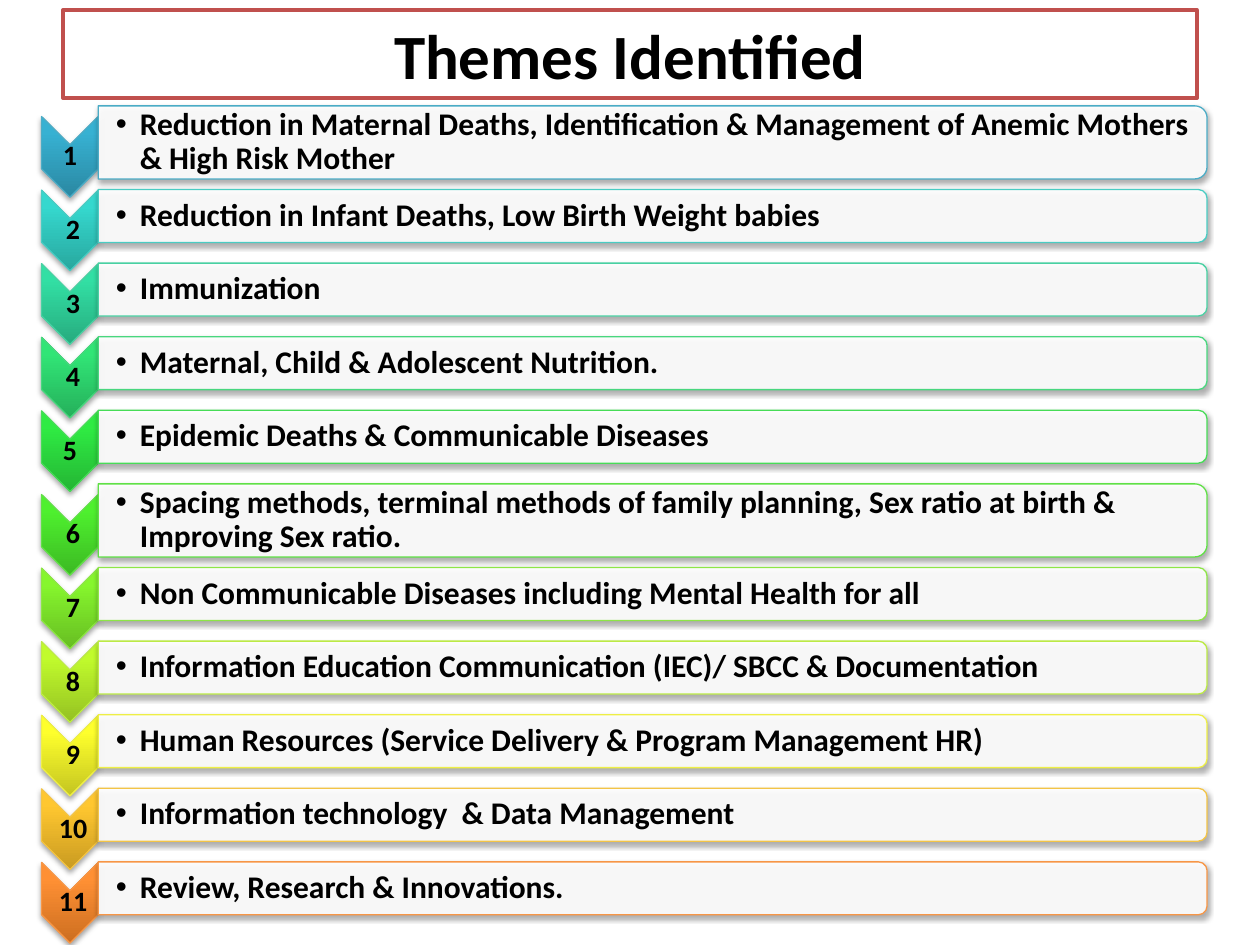
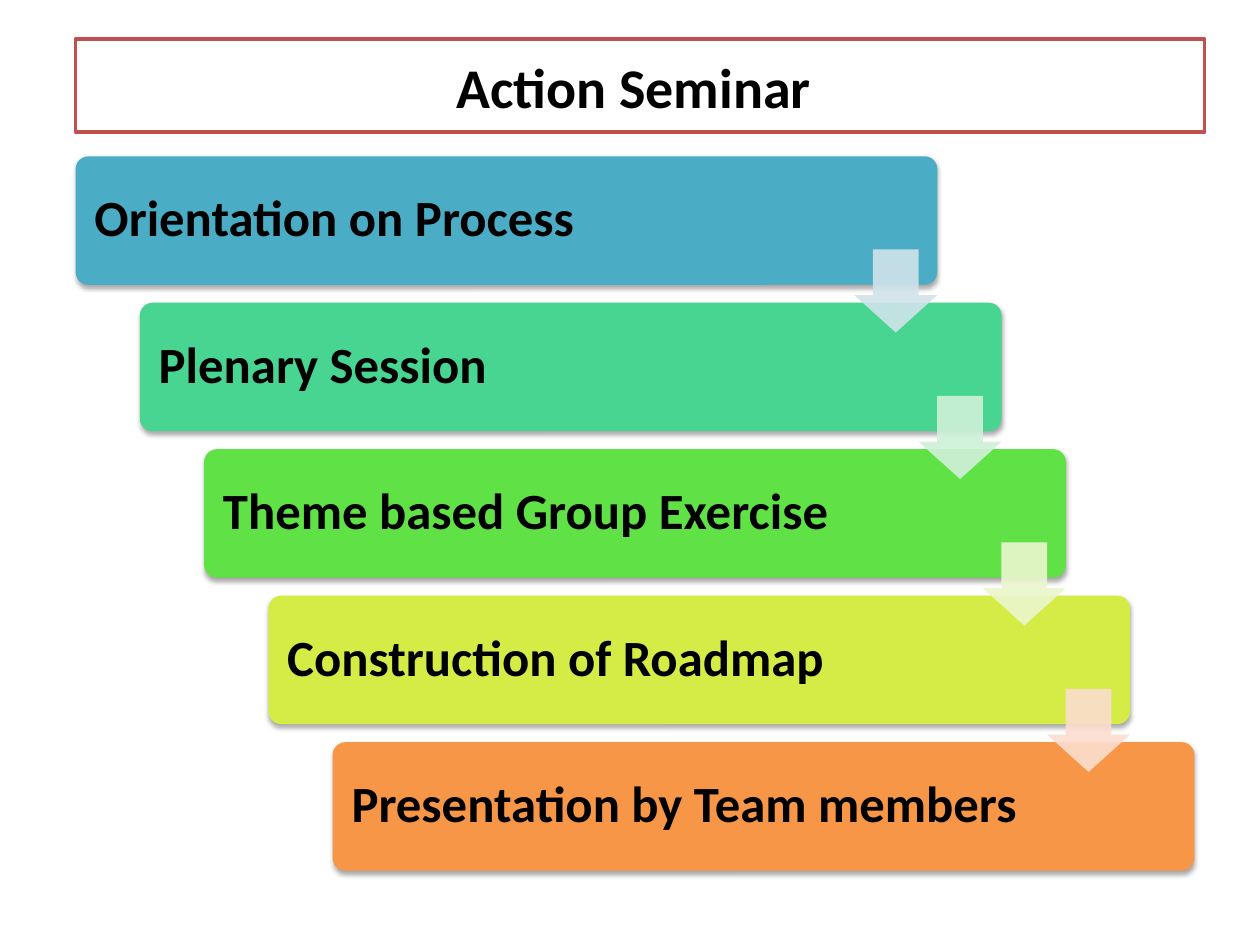
from typing import NamedTuple

from lxml.etree import SubElement
from pptx import Presentation
from pptx.dml.color import RGBColor
from pptx.enum.shapes import MSO_SHAPE
from pptx.enum.text import MSO_ANCHOR, PP_ALIGN
from pptx.oxml.ns import qn
from pptx.util import Inches, Pt

# Grid: 100 columns by 75 rows of square cells
SLIDE_WIDTH, SLIDE_HEIGHT = Inches(10), Inches(7.5)
CELL = SLIDE_WIDTH // 100

FONT = "Calibri"
BLACK = RGBColor(0, 0, 0)
WHITE = RGBColor(255, 255, 255)
TITLE_BORDER = RGBColor(0xC0, 0x50, 0x4D)
TITLE_ONLY = 5

color = RGBColor.from_string

# Label, outline, dark and light chevron colours, theme
THEMES = [
    ("1", color("4BACC6"), color("2A88A2"), color("37B1D2"),
     "Reduction in Maternal Deaths, Identification & Management of Anemic Mothers & High Risk Mother"),
    (" 2", color("4ACCC3"), color("28A79E"), color("35D8CE"),
     "Reduction in Infant Deaths, Low Birth Weight babies"),
    (" 3", color("49D1A3"), color("27AB7E"), color("32DFA4"),
     "Immunization"),
    (" 4", color("48D77E"), color("25B05B"), color("31E576"),
     "Maternal, Child & Adolescent Nutrition."),
    (" 5 ", color("47DC57"), color("24B534"), color("2FEB43"),
     "Epidemic Deaths & Communicable Diseases"),
    (" 6", color("60E146"), color("3CB923"), color("4EF02E"),
     "Spacing methods, terminal methods of family planning, Sex ratio at birth & Improving Sex ratio."),
    (" 7", color("8DE646"), color("67BD22"), color("86F62D"),
     "Non Communicable Diseases including Mental Health for all"),
    (" 8", color("BCEA46"), color("94C122"), color("C1FB2C"),
     "Information Education Communication (IEC)/ SBCC & Documentation"),
    (" 9", color("EEEF46"), color("C4C521"), color("FEFF2C"),
     "Human Resources (Service Delivery & Program Management HR)"),
    (" 10", color("F3C446"), color("C99B21"), color("FFC730"),
     "Information technology  & Data Management"),
    (" 11", color("F79646"), color("CC6E20"), color("FF9034"),
     "Review, Research & Innovations."),
]
TWO_LINE_LENGTH = 70  # longer themes need a taller bar

# Step, bar colour
STEPS = [
    ("Orientation on Process", color("4BACC6")),
    ("Plenary Session", color("48D491")),
    ("Theme based Group Exercise", color("60E146")),
    ("Construction of Roadmap", color("D5EC46")),
    ("Presentation by Team members", color("F79646")),
]
ARROW_COLORS = [color("D0E3EA"), color("CFF1D9"), color("EBF7CE"), color("FCDDCF")]


class Box(NamedTuple):
    """A rectangle in grid cells."""
    left: float
    top: float
    width: float
    height: float

    def turned(self):
        """The frame that covers this box after a quarter turn."""
        shift = (self.width - self.height) / 2
        return Box(self.left + shift, self.top - shift, self.height, self.width)

    def lengths(self):
        return [round(value * CELL) for value in self]


def format_text(frame, text, size):
    frame.text = text
    para = frame.paragraphs[0]
    for span in para.runs:
        span.font.name, span.font.size = FONT, Pt(size)
        span.font.bold = True
        span.font.color.rgb = BLACK
    return para


def add_label(page, box, text, size, inset, left_inset=None):
    frame = page.shapes.add_textbox(*box.lengths()).text_frame
    frame.word_wrap = True
    frame.vertical_anchor = MSO_ANCHOR.MIDDLE
    frame.margin_left = Inches(inset if left_inset is None else left_inset)
    frame.margin_right = frame.margin_top = frame.margin_bottom = Inches(inset)
    para = format_text(frame, text, size)
    para.line_spacing = 0.9
    return para


def add_bullet(para):
    properties = para._p.get_or_add_pPr()
    properties.set("marL", str(Inches(0.19)))
    properties.set("indent", str(-Inches(0.19)))
    SubElement(properties, qn("a:buFont"), typeface="Arial")
    SubElement(properties, qn("a:buChar"), char="•")


def add_shadow(shape):
    effects = shape._element.spPr.find(qn("a:effectLst"))
    shadow = SubElement(effects, qn("a:outerShdw"), blurRad=str(Pt(3.1)),
                        dist=str(Pt(1.8)), dir="5400000", rotWithShape="0")
    black = SubElement(shadow, qn("a:srgbClr"), val=str(BLACK))
    SubElement(black, qn("a:alpha"), val="35000")


def add_block(page, kind, box, fill=None, line=None, opacity=100, turned=False):
    frame = box.turned() if turned else box
    shape = page.shapes.add_shape(kind, *frame.lengths())
    shape.rotation = 90 if turned else 0
    shape.shadow.inherit = False
    if fill is not None:
        shape.fill.solid()
        shape.fill.fore_color.rgb = fill
        if opacity < 100:
            tint = shape._element.spPr.find(qn("a:solidFill"))[0]
            SubElement(tint, qn("a:alpha"), val=str(opacity * 1000))
    if line is None:
        shape.line.fill.background()
    else:
        shape.line.color.rgb = line
        shape.line.width = Pt(0.75)
    return shape


def shade_upwards(shape, dark, light):
    shape.fill.gradient()
    shape.fill.gradient_angle = 90
    for stop, position, tone in zip(shape.fill.gradient_stops, (0, 0.8), (dark, light)):
        stop.position = position
        stop.color.rgb = tone
    shape._element.spPr.find(qn("a:gradFill")).set("rotWithShape", "0")


def add_page(deck, title, box, size):
    page = deck.slides.add_slide(deck.slide_layouts[TITLE_ONLY])
    heading = page.shapes.title
    heading.left, heading.top, heading.width, heading.height = box.lengths()
    heading.fill.solid()
    heading.fill.fore_color.rgb = WHITE
    heading.line.color.rgb = TITLE_BORDER
    heading.line.width = Pt(2)
    heading.text_frame.vertical_anchor = MSO_ANCHOR.MIDDLE
    format_text(heading.text_frame, title, size).alignment = PP_ALIGN.CENTER
    return page


def add_theme_row(page, box, theme):
    label, outline, dark, light, text = theme
    middle = box.top + box.height / 2

    # Numbered chevron, hanging a little below the bar
    marker = Box(box.left, middle - 2.05, 4.5, 6.4)
    chevron = add_block(page, MSO_SHAPE.CHEVRON, marker, line=outline, turned=True)
    shade_upwards(chevron, dark, light)
    add_shadow(chevron)
    number = Box(box.left, middle + 0.2, 4.5, 1.9)
    add_label(page, number, label, 16, 0.01).alignment = PP_ALIGN.CENTER

    # Bar with the theme
    bar = Box(box.left + 4.5, box.top, box.width - 4.5, box.height)
    add_shadow(add_block(page, MSO_SHAPE.ROUND_2_SAME_RECTANGLE, bar, WHITE,
                         outline, opacity=90, turned=True))
    words = Box(bar.left, bar.top + 0.2, bar.width - 0.25, bar.height - 0.4)
    add_bullet(add_label(page, words, text, 18, 0.01, left_inset=0.14))


def add_theme_list(page, box):
    top = box.top
    for theme in THEMES:
        tall = len(theme[-1]) > TWO_LINE_LENGTH
        height, pitch = (5.8, 6.64) if tall else (4.2, 5.84)
        add_theme_row(page, Box(box.left, top, box.width, height), theme)
        top += pitch


def add_staircase(page, box):
    width, height = 68.4, 10.2
    step_right = (box.width - width) / (len(STEPS) - 1)
    step_down = (box.height - height) / (len(STEPS) - 1)
    bars = [Box(box.left + i * step_right, box.top + i * step_down, width, height)
            for i in range(len(STEPS))]

    # Step bars
    for bar, (text, fill) in zip(bars, STEPS):
        shape = add_block(page, MSO_SHAPE.ROUNDED_RECTANGLE, bar, fill)
        shape.adjustments[0] = 0.1
        add_shadow(shape)
        words = Box(bar.left + 0.3, bar.top + 0.3, 56, height - 0.6)
        add_label(page, words, text, 29, 0.12)

    # Arrows from each step to the next
    side = 6.6
    for bar, fill in zip(bars, ARROW_COLORS):
        place = Box(bar.left + width - side, bar.top + 7.4, side, side)
        arrow = add_block(page, MSO_SHAPE.DOWN_ARROW, place, fill, opacity=90)
        arrow.adjustments[0], arrow.adjustments[1] = 0.55, 0.45


def main():
    deck = Presentation()
    deck.slide_width, deck.slide_height = SLIDE_WIDTH, SLIDE_HEIGHT

    page = add_page(deck, "Themes Identified", Box(5, 0.8, 90, 7), 36)
    add_theme_list(page, Box(3.3, 8.4, 92.5, 66))

    page = add_page(deck, "Action Seminar ", Box(6, 3.1, 89.6, 7.4), 32)
    add_staircase(page, Box(6, 12.4, 88.8, 56.7))

    deck.save("out.pptx")


if __name__ == "__main__":
    main()
